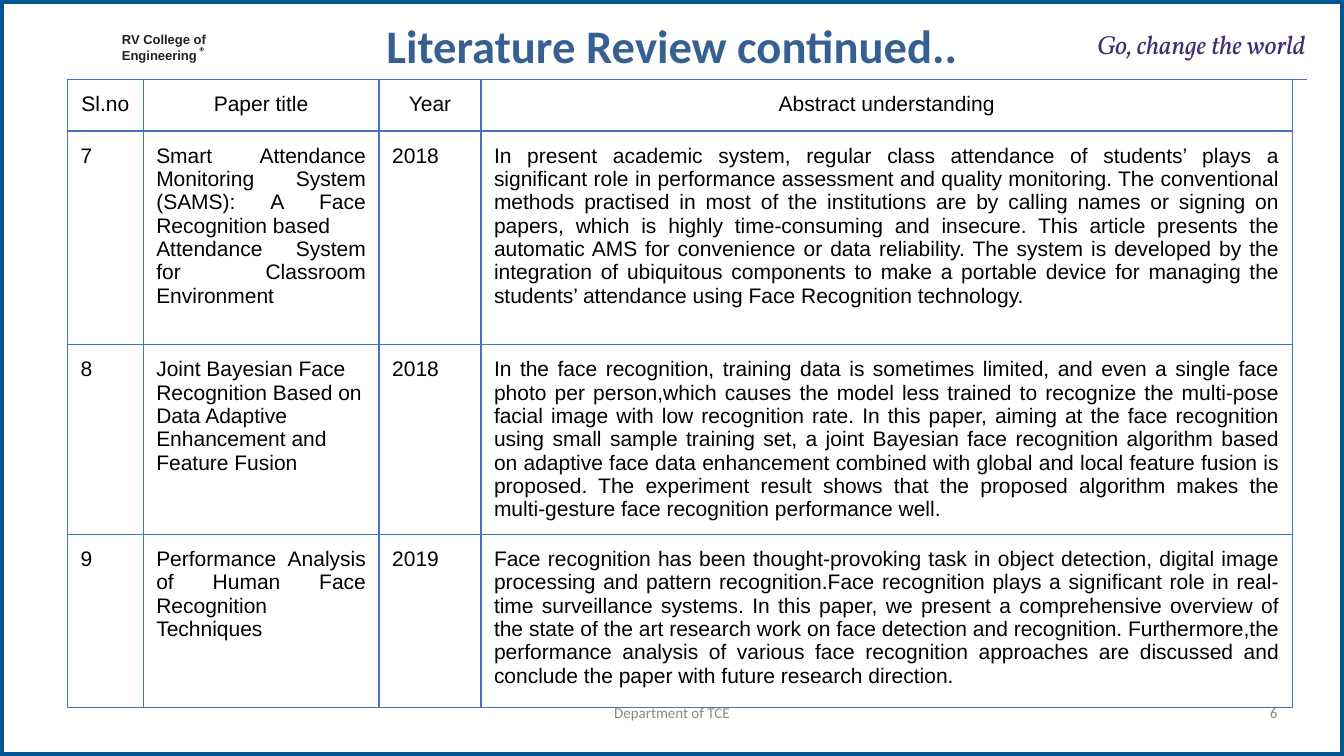
from dataclasses import dataclass

from lxml import etree
from pptx import Presentation
from pptx.dml.color import RGBColor
from pptx.enum.shapes import MSO_CONNECTOR, MSO_SHAPE
from pptx.enum.text import MSO_ANCHOR, MSO_AUTO_SIZE, PP_ALIGN
from pptx.oxml.ns import qn
from pptx.util import Inches, Pt

LEFT, CENTER, RIGHT, JUSTIFY = PP_ALIGN.LEFT, PP_ALIGN.CENTER, PP_ALIGN.RIGHT, PP_ALIGN.JUSTIFY
TOP = MSO_ANCHOR.TOP
NO_AUTOFIT = MSO_AUTO_SIZE.NONE
RECTANGLE, DONUT = MSO_SHAPE.RECTANGLE, MSO_SHAPE.DONUT
STRAIGHT = MSO_CONNECTOR.STRAIGHT
TITLE_ONLY = 5


@dataclass(frozen=True)
class Style:
    font: str
    size: float
    color: str
    bold: bool = False
    italic: bool = False


@dataclass(frozen=True)
class Theme:
    page: str = "FFFFFF"
    frame: str = "005893"
    rule: str = "5E6DB3"
    grid: str = "4472C4"
    college: Style = Style("Arial", 9.3, "231F20", bold=True)
    heading: Style = Style("Calibri", 33.3, "376092", bold=True)
    tagline: Style = Style("Vollkorn", 18.7, "422C75", italic=True)
    footer: Style = Style("Calibri", 10.7, "898989")
    table: Style = Style("Arial", 15, "000000")


THEME = Theme()
PAGE_WIDTH, PAGE_HEIGHT = 13.33, 7.5
COLUMN_WIDTHS = [0.75, 2.34, 1.01, 8.05]
ROW_HEIGHTS = [0.51, 2.12, 1.88, 1.72]
CELL_MARGIN = 0.13
HEADERS = ["Sl.no", "Paper title", "Year", "Abstract understanding"]
PAPERS = [
    (
        "7",
        ["Smart Attendance Monitoring System (SAMS): A Face Recognition based",
         "Attendance System for Classroom Environment"],
        JUSTIFY,
        "2018",
        "In present academic system, regular class attendance of students’ plays a significant role in "
        "performance assessment and quality monitoring. The conventional methods practised in most of the "
        "institutions are by calling names or signing on papers, which is highly time-consuming and insecure. "
        "This article presents the automatic AMS for convenience or data reliability. The system is developed "
        "by the integration of ubiquitous components to make a portable device for managing the students’ "
        "attendance using Face Recognition technology.",
    ),
    (
        "8",
        ["Joint Bayesian Face Recognition Based on Data Adaptive Enhancement and Feature Fusion"],
        LEFT,
        "2018",
        "In the face recognition, training data is sometimes limited, and even a single face photo per "
        "person,which causes the model less trained to recognize the multi-pose facial image with low "
        "recognition rate. In this paper, aiming at the face recognition using small sample training set, a "
        "joint Bayesian face recognition algorithm based on adaptive face data enhancement combined with "
        "global and local feature fusion is proposed. The experiment result shows that the proposed algorithm "
        "makes the multi-gesture face recognition performance well.",
    ),
    (
        "9",
        ["Performance Analysis of Human Face Recognition Techniques"],
        JUSTIFY,
        "2019",
        "Face recognition has been thought-provoking task in object detection, digital image processing and "
        "pattern recognition.Face recognition plays a significant role in real-time surveillance systems. In "
        "this paper, we present a comprehensive overview of the state of the art research work on face "
        "detection and recognition. Furthermore,the performance analysis of various face recognition "
        "approaches are discussed and conclude the paper with future research direction.",
    ),
]


def rgb(color):
    return RGBColor.from_string(color)


def write(frame, lines, style, align, spacing=1.0):
    for index, line in enumerate(lines):
        paragraph = frame.add_paragraph() if index else frame.paragraphs[0]
        paragraph.alignment = align
        paragraph.line_spacing = spacing
        run = paragraph.add_run()
        run.text = line
        run.font.name = style.font
        run.font.size = Pt(style.size)
        run.font.bold = style.bold
        run.font.italic = style.italic
        run.font.color.rgb = rgb(style.color)


def fit_frame(frame):
    frame.margin_left = frame.margin_right = frame.margin_bottom = 0
    frame.margin_top = Inches(0.01)
    frame.word_wrap = True
    frame.auto_size = NO_AUTOFIT
    frame.vertical_anchor = TOP


def add_label(slide, box, lines, style, align, spacing=1.0):
    label = slide.shapes.add_textbox(*map(Inches, box))
    fit_frame(label.text_frame)
    write(label.text_frame, lines, style, align, spacing)


def add_page_frame(slide, box):
    border = slide.shapes.add_shape(RECTANGLE, *map(Inches, box))
    border.shadow.inherit = False
    border.fill.background()
    border.line.color.rgb = rgb(THEME.frame)
    border.line.width = Pt(6)


def add_registered_mark(slide, left, top, size):
    ring = slide.shapes.add_shape(DONUT, *map(Inches, (left, top, size, size)))
    ring.adjustments[0] = 0.1
    builder = slide.shapes.build_freeform(3, 2, scale=Inches(size) / 10)
    builder.add_line_segments([(6, 2), (7, 4), (6, 5), (7, 8), (5, 6), (4, 5), (4, 8), (3, 8)])
    letter = builder.convert_to_shape(Inches(left), Inches(top))
    for part in (ring, letter):
        part.shadow.inherit = False
        part.fill.solid()
        part.fill.fore_color.rgb = rgb(THEME.college.color)
        part.line.fill.background()


def add_header(slide, left, top, width, height):
    add_label(slide, (left + 0.54, top + 0.13, 0.91, 0.33),
              ["RV College of", "Engineering"], THEME.college, LEFT, 1.06)
    add_registered_mark(slide, left + 1.31, top + 0.31, 0.04)

    heading = slide.shapes.title
    heading.left, heading.top = Inches(left + 2.6), Inches(top)
    heading.width, heading.height = Inches(6.79), Inches(0.56)
    fit_frame(heading.text_frame)
    write(heading.text_frame, ["Literature Review continued.."], THEME.heading, CENTER)

    add_label(slide, (left + width - 3.36, top + 0.11, 3.35, 0.4),
              ["Go, change the world"], THEME.tagline, RIGHT)

    bottom = Inches(top + height)
    rule = slide.shapes.add_connector(STRAIGHT, Inches(left), bottom, Inches(left + width), bottom)
    rule.line.color.rgb = rgb(THEME.rule)
    rule.line.width = Pt(1.25)
    etree.SubElement(rule._element.spPr, qn("a:effectLst"))


def outline_cell(cell):
    properties = cell._tc.get_or_add_tcPr()
    for position, side in enumerate(("a:lnL", "a:lnR", "a:lnT", "a:lnB")):
        edge = etree.Element(qn(side), w=str(Pt(1)))
        fill = etree.SubElement(edge, qn("a:solidFill"))
        etree.SubElement(fill, qn("a:srgbClr"), val=THEME.grid)
        properties.insert(position, edge)


def fill_cell(cell, lines, align):
    cell.margin_left = cell.margin_right = Inches(CELL_MARGIN)
    cell.margin_top = cell.margin_bottom = Inches(CELL_MARGIN)
    cell.vertical_anchor = TOP
    cell.fill.background()
    outline_cell(cell)
    write(cell.text_frame, lines, THEME.table, align)


def add_review_table(slide, left, top):
    box = (left, top, sum(COLUMN_WIDTHS), sum(ROW_HEIGHTS))
    table = slide.shapes.add_table(len(ROW_HEIGHTS), len(COLUMN_WIDTHS), *map(Inches, box)).table
    table.first_row = table.horz_banding = False
    for column, width in zip(table.columns, COLUMN_WIDTHS):
        column.width = Inches(width)
    for row, height in zip(table.rows, ROW_HEIGHTS):
        row.height = Inches(height)

    rows = [[([header], CENTER) for header in HEADERS]]
    for number, title, title_align, year, abstract in PAPERS:
        rows.append([([number], LEFT), (title, title_align), ([year], LEFT), ([abstract], JUSTIFY)])
    for row, contents in zip(table.rows, rows):
        for cell, (lines, align) in zip(row.cells, contents):
            fill_cell(cell, lines, align)


def add_footer(slide, left, top, width):
    add_label(slide, (left, top, 4.27, 0.18), ["Department of TCE"], THEME.footer, CENTER)
    add_label(slide, (left + width - 3.07, top, 3.07, 0.38), ["6"], THEME.footer, RIGHT)


def main():
    deck = Presentation()
    deck.slide_width, deck.slide_height = Inches(PAGE_WIDTH), Inches(PAGE_HEIGHT)
    slide = deck.slides.add_slide(deck.slide_layouts[TITLE_ONLY])
    slide.background.fill.solid()
    slide.background.fill.fore_color.rgb = rgb(THEME.page)
    add_page_frame(slide, (0, 0, PAGE_WIDTH, PAGE_HEIGHT))
    add_header(slide, 0.67, 0.16, 12.29, 0.63)
    add_footer(slide, 4.53, 6.97, 8.14)
    add_review_table(slide, 0.67, 0.79)
    deck.save("out.pptx")


if __name__ == "__main__":
    main()
